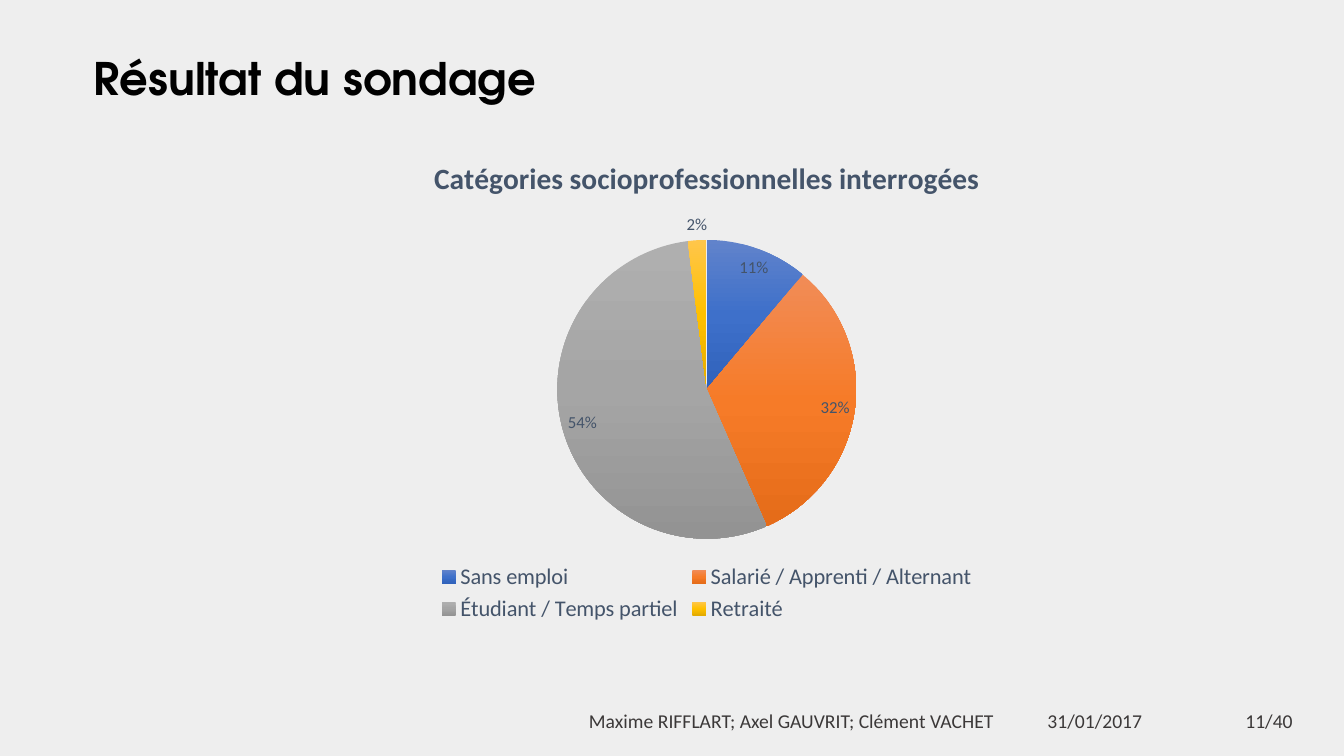
from lxml import etree
from pptx import Presentation
from pptx import util as u
from pptx.chart.data import CategoryChartData
from pptx.dml.color import RGBColor
from pptx.enum import chart as ch, text
from pptx.oxml.ns import qn

HUES = {"back": "EEEEEE", "title": "000000", "chart": "44546A", "foot": "3B3838"}
SHARES = {  # category: value and gradient from top to bottom
    "Sans emploi": (0.11, ["6183CB", "3E70CA", "3062BB"]),
    "Salarié / Apprenti / Alternant": (0.32, ["F18C57", "F67B28", "E56C19"]),
    "Étudiant / Temps partiel": (0.54, ["AFAFAF", "A5A5A5", "939393"]),
    "Retraité": (0.02, ["FFC64B", "FFC000", "E3AB00"]),
}
PLOT = {"x": 0.33, "y": 0.21, "w": 0.34, "h": 0.61}


def style(font, size, hue, bold=False, name="Calibri"):
    font.name, font.size, font.bold = name, u.Pt(size), bold
    font.color.rgb = RGBColor.from_string(HUES[hue])


def place(shape, box):
    shape.left, shape.top, shape.width, shape.height = map(u.Inches, box)


def head(slide, box):
    title = slide.shapes.title
    place(title, box)
    frame = title.text_frame
    frame.text = "Résultat du sondage"
    frame.word_wrap = False
    frame.auto_size = text.MSO_AUTO_SIZE.NONE
    frame.vertical_anchor = text.MSO_ANCHOR.TOP
    par = frame.paragraphs[0]
    par.alignment = text.PP_ALIGN.LEFT
    style(par.runs[0].font, 32, "title", True, "TeX Gyre Adventor")


def blend(chart, hues):
    """Fill each slice with its evenly spaced vertical gradient."""
    points = chart.plots[0].series[0].points
    for i in range(len(hues)):
        fill = points[i].format.fill
        fill.gradient()
        fill.gradient_angle = 270
    stops = chart.element.iter(qn("a:gsLst"))
    for stop, tones in zip(list(stops), hues):
        for old in list(stop):
            stop.remove(old)
        for i, tone in enumerate(tones):
            mark = etree.SubElement(stop, qn("a:gs"), pos=str(i * 50000))
            etree.SubElement(mark, qn("a:srgbClr"), val=tone)


def fix(chart):
    """Set the inner plot area as fractions of the chart."""
    area = next(chart.element.iter(qn("c:plotArea")))
    for old in area.findall(qn("c:layout")):
        area.remove(old)
    frame = etree.Element(qn("c:layout"))
    area.insert(0, frame)
    inner = etree.SubElement(frame, qn("c:manualLayout"))
    etree.SubElement(inner, qn("c:layoutTarget"), val="inner")
    for key in "xy":
        etree.SubElement(inner, qn(f"c:{key}Mode"), val="edge")
    for key, ratio in PLOT.items():
        etree.SubElement(inner, qn(f"c:{key}"), val=str(ratio))


def pie(slide, box):
    data = CategoryChartData(number_format="0%")
    data.categories = list(SHARES)
    data.add_series("Series 1", [share for share, _ in SHARES.values()])
    chart = slide.shapes.add_chart(
        ch.XL_CHART_TYPE.PIE, *map(u.Inches, box), data).chart
    style(chart.font, 10, "title")

    chart.has_title = True
    frame = chart.chart_title.text_frame
    frame.text = "Catégories socioprofessionnelles interrogées"
    style(frame.paragraphs[0].runs[0].font, 21, "chart", True)
    chart.chart_title.include_in_layout = False

    chart.has_legend = True
    chart.legend.position = ch.XL_LEGEND_POSITION.BOTTOM
    chart.legend.include_in_layout = False
    style(chart.legend.font, 16, "chart")

    plot = chart.plots[0]
    plot.vary_by_categories = True
    plot.has_data_labels = True
    labels = plot.data_labels
    labels.show_value = True
    labels.show_percentage = False
    labels.number_format = "0%"
    labels.number_format_is_linked = False
    labels.position = ch.XL_LABEL_POSITION.BEST_FIT
    style(labels.font, 12, "chart")
    blend(chart, [tones for _, tones in SHARES.values()])
    fix(chart)


def note(slide, box, words, align):
    frame = slide.shapes.add_textbox(*map(u.Inches, box)).text_frame
    frame.text = words
    frame.word_wrap = True
    frame.vertical_anchor = text.MSO_ANCHOR.MIDDLE
    par = frame.paragraphs[0]
    par.alignment = align
    style(par.runs[0].font, 14, "foot")


def foot(slide, box):
    left, top, _, high = box
    side = text.PP_ALIGN
    for shift, wide, words, align in (
        (0, 4.5, "Maxime RIFFLART; Axel GAUVRIT; Clément VACHET", side.CENTER),
        (4.69, 1.29, "31/01/2017", side.LEFT),
        (6.38, 0.94, "11/40", side.RIGHT),
    ):
        note(slide, (left + shift, top, wide, high), words, align)


def main():
    deck = Presentation()
    deck.slide_width, deck.slide_height = u.Inches(13.33), u.Inches(7.5)
    slide = deck.slides.add_slide(deck.slide_layouts[5])
    fill = slide.background.fill
    fill.solid()
    fill.fore_color.rgb = RGBColor.from_string(HUES["back"])
    head(slide, (0.83, 0.45, 4.64, 0.64))
    pie(slide, (2.62, 1.36, 8.78, 4.86))
    foot(slide, (5.6, 6.95, 7.32, 0.4))
    deck.save("out.pptx")


if __name__ == "__main__":
    main()
